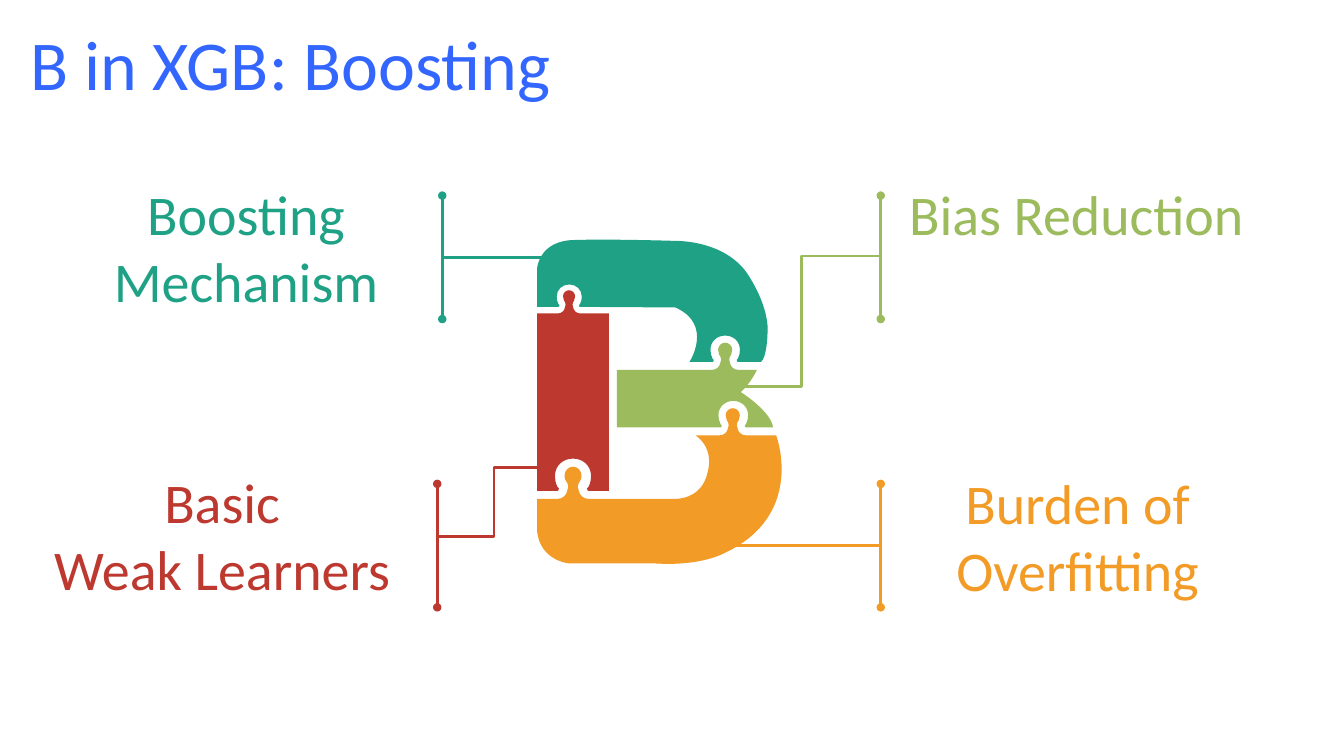
from lxml import etree
from pptx import Presentation
from pptx.dml.color import RGBColor
from pptx.enum.shapes import MSO_CONNECTOR
from pptx.enum.text import MSO_ANCHOR, PP_ALIGN
from pptx.oxml.ns import qn
from pptx.util import Pt

STRAIGHT, ELBOW = MSO_CONNECTOR.STRAIGHT, MSO_CONNECTOR.ELBOW
LEFT, CENTER = PP_ALIGN.LEFT, PP_ALIGN.CENTER
TOP, MIDDLE = MSO_ANCHOR.TOP, MSO_ANCHOR.MIDDLE

# Content; all lengths in points
COLORS = {"teal": "1EA185", "red": "BD392F", "green": "9BBB5C",
          "orange": "F29B26", "title": "3366FF"}
FONT = "Calibri"
TITLE = ("B in XGB: Boosting", (14.4, 7.2, 474.5, 82.8))
LABELS = [  # color, lines, (left, top, width, height)
    ("teal", ["Boosting Mechanism"], (36, 124.6, 279.4, 104.4)),
    ("red", ["Basic", "Weak Learners"], (5, 330.5, 307.4, 104.4)),
    ("green", ["Bias Reduction"], (629.1, 124.6, 279.4, 104.4)),
    ("orange", ["Burden of Overfitting"], (630, 331.2, 279.4, 104.4)),
]
SPINE_HEIGHT = 88.2
CALLOUTS = [  # color, spine x, spine top, leader kind, leader y, leader end
    ("green", 629.1, 139.7, ELBOW, 182.9, (515.8, 275.8)),
    ("red", 312.3, 345.6, ELBOW, 383, (393.4, 333.7)),
    ("orange", 629.1, 345.6, STRAIGHT, 389.5, (522.7, 389.5)),
    ("teal", 315.9, 139.7, STRAIGHT, 183.8, (400.3, 183.8)),
]

# Left half of a jigsaw knob, height 1, origin at the middle of its base
HALF_KNOBS = {
    "tab": [(-0.48, 0), (-0.33, 0, -0.2, 0.11, -0.18, 0.25), (-0.15, 0.37),
            (-0.15, 0.44, -0.18, 0.52, -0.22, 0.56),
            (-0.26, 0.63, -0.27, 0.67, -0.26, 0.74),
            (-0.26, 0.88, -0.14, 1, 0, 1)],
    "socket": [(-0.48, 0), (-0.44, 0, -0.44, 0.04, -0.44, 0.08),
               (-0.44, 0.1, -0.46, 0.12, -0.48, 0.12),
               (-0.54, 0.23, -0.56, 0.35, -0.56, 0.46),
               (-0.56, 0.78, -0.31, 1, 0, 1)],
}

# Pieces of the B: 2 numbers = corner, 6 = Bezier curve,
# name = knob with middle x, base y, height, direction of travel
PIECES = {
    "orange": [(406.8, 402.5), (468, 402.5),
               (500.4, 404.6, 517, 395.3, 517, 395.3),
               (551, 379.6, 558.3, 353.9, 558.3, 335),
               (558.3, 321.2, 554.4, 311, 554.4, 311),
               ("tab", 523.4, 311, 19.4, -1), (496.8, 311),
               (496.8, 311, 510.5, 319, 505.4, 337.7),
               (501.1, 357.1, 482.4, 356.4, 482.4, 356.4),
               ("tab", 409.3, 356.4, 23, -1),
               (383.6, 356.4), (383.6, 379.4),
               (385.9, 401, 406.8, 402.5, 406.8, 402.5)],
    "green": [(552.2, 305.3), (550.8, 293.8, 529.2, 280.1, 529.2, 280.1),
              (536.4, 273.6, 540.7, 264.2, 540.7, 264.2),
              ("tab", 518, 264.2, 19.4, -1), (440.6, 264.2), (440.6, 305.3),
              ("socket", 523.8, 305.3, 18.9, 1)],
    "teal": [(383.6, 219.2), ("socket", 406.6, 219.2, 16, 1), (482.4, 219.6),
             (509.8, 231.8, 492.5, 258.5, 492.5, 258.5),
             ("socket", 518, 258.5, 18.8, 1), (543.6, 258.5),
             (547.9, 254.9, 548.2, 238.3, 548.2, 238.3),
             (548.2, 238.3, 550.8, 222.5, 535, 197.3),
             (519.1, 171.4, 483.1, 172.1, 483.1, 172.1),
             (483.1, 172.1, 437.8, 170.6, 411.1, 171.4),
             (384.5, 171.4, 383.6, 192.2, 383.6, 192.2)],
    "red": [(383.6, 350.6), ("socket", 409.3, 350.6, 23, 1), (434.9, 350.6),
            (434.9, 223.9), ("tab", 406.5, 223.9, 16.6, -1), (383.6, 223.9)],
}


def rgb(name):
    return RGBColor.from_string(COLORS[name])


def points(*values):
    return [Pt(value) for value in values]


def pairs(step):
    return list(zip(step[::2], step[1::2]))


def knob(kind, middle, base, height, direction):
    """Corners and curves of a whole knob: the half, then its mirror."""
    half = [pairs(step) for step in HALF_KNOBS[kind]]
    whole = list(half)
    for before, step in reversed(list(zip(half, half[1:]))):
        back = step[-2::-1] + before[-1:]
        whole.append([(-x, y) for x, y in back])
    return [[(middle + direction * x * height, base - y * height) for x, y in step]
            for step in whole]


def expand(steps):
    outline = []
    for step in steps:
        outline += knob(*step) if isinstance(step[0], str) else [pairs(step)]
    return [[points(*node) for node in step] for step in outline]


def add_piece(shapes, steps, color):
    outline = expand(steps)
    ends = [step[-1] for step in outline]
    builder = shapes.build_freeform(*ends[0])
    builder.add_line_segments(ends[1:], close=True)
    piece = builder.convert_to_shape()
    left, top = min(x for x, y in ends), min(y for x, y in ends)
    # Turn the straight segments into curves where the outline bends
    segments = list(piece._element.iter(qn("a:lnTo")))
    for segment, step in zip(segments, outline[1:]):
        if len(step) == 3:
            bend = etree.Element(qn("a:cubicBezTo"))
            for x, y in step:
                etree.SubElement(bend, qn("a:pt"), x=str(x - left), y=str(y - top))
            segment.getparent().replace(segment, bend)
    piece.shadow.inherit = False
    piece.fill.solid()
    piece.fill.fore_color.rgb = rgb(color)
    piece.line.fill.background()


def add_line(shapes, kind, start, end, color, dots=False):
    line = shapes.add_connector(kind, *points(*start, *end))
    line.line.color.rgb = rgb(color)
    line.line.width = Pt(2)
    properties = line.line._get_or_add_ln()
    if dots:
        for tag in ("a:headEnd", "a:tailEnd"):
            etree.SubElement(properties, qn(tag), type="oval")
    etree.SubElement(properties.getparent(), qn("a:effectLst"))


def write(box, lines, size, color, align, anchor, spacing=None):
    frame = box.text_frame
    frame.word_wrap = True
    frame.vertical_anchor = anchor
    frame.text = "\n".join(lines)
    for para in frame.paragraphs:
        para.alignment = align
        para.line_spacing = spacing
        span = para.runs[0]
        for key, value in {"name": FONT, "size": Pt(size), "bold": False}.items():
            setattr(span.font, key, value)
        span.font.color.rgb = rgb(color)


deck = Presentation()
deck.slide_width, deck.slide_height = points(960, 540)
slide = deck.slides.add_slide(deck.slide_layouts[5])

# Title
text, place = TITLE
title = slide.shapes.title
title.left, title.top, title.width, title.height = points(*place)
write(title, [text], 50, "title", LEFT, MIDDLE, 0.9)

# Diagram: leaders, dotted spines and the jigsaw letter
diagram = slide.shapes.add_group_shape().shapes
for color, x, top, kind, leader_y, end in CALLOUTS:
    add_line(diagram, kind, (x, leader_y), end, color)
for color, x, top, kind, leader_y, end in CALLOUTS:
    add_line(diagram, STRAIGHT, (x, top), (x, top + SPINE_HEIGHT), color, dots=True)
for color, steps in PIECES.items():
    add_piece(diagram, steps, color)

# Labels
for color, lines, place in LABELS:
    write(slide.shapes.add_textbox(*points(*place)), lines, 40, color, CENTER, TOP)

deck.save("out.pptx")
